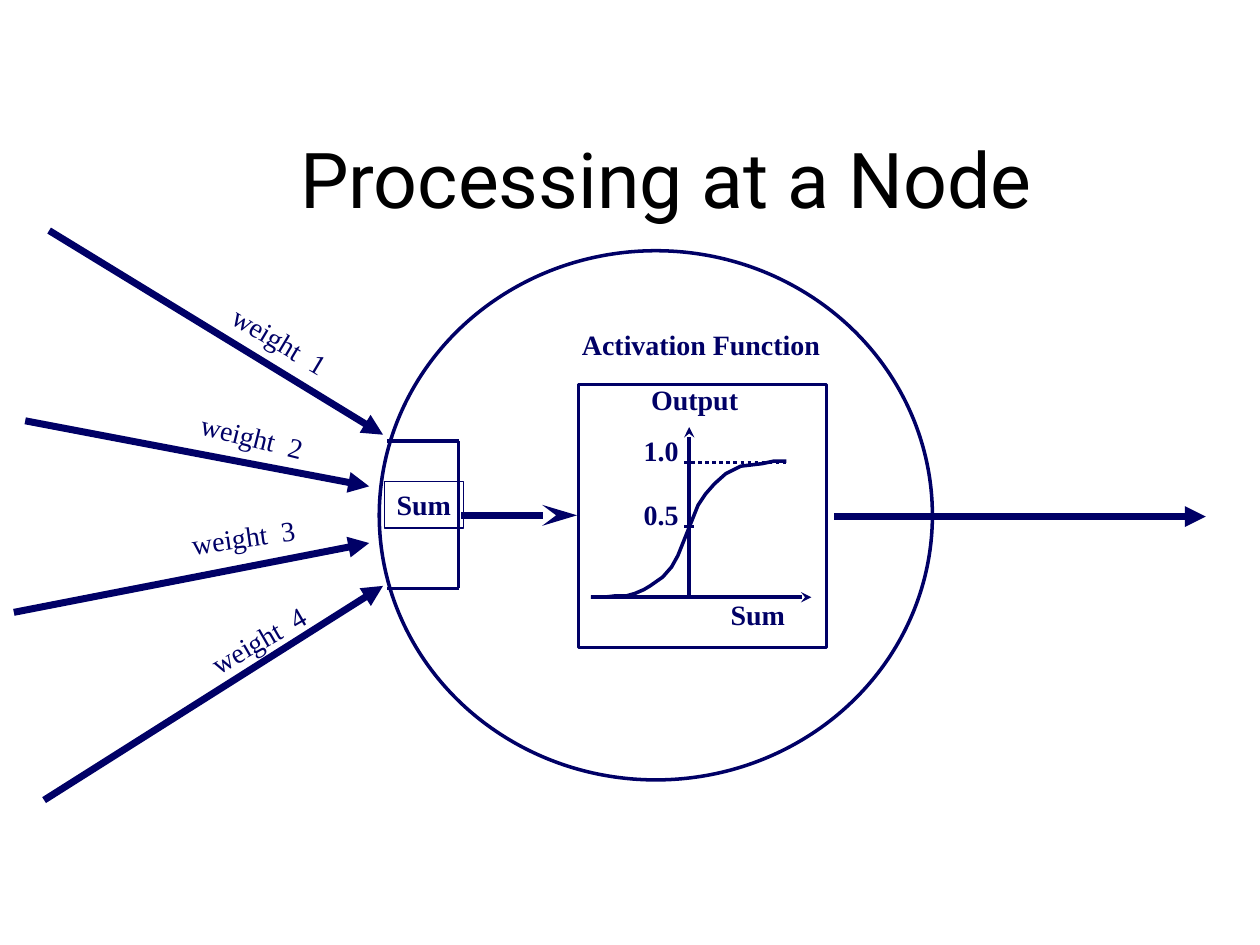
from pptx import Presentation, util as u
from pptx.dml.color import RGBColor
from pptx.enum import dml, shapes, text
from pptx.oxml.ns import qn
from lxml import etree

HUES = {"navy": "000066", "black": "000000"}
SERIF = "Times New Roman"

deck = Presentation()
deck.slide_width, deck.slide_height = u.Inches(10), u.Inches(7.5)
slide = deck.slides.add_slide(deck.slide_layouts[6])
parts = slide.shapes
navy = RGBColor.from_string(HUES["navy"])


def draw_line(x1, y1, x2, y2, width=2, tip=None, dash=None, size="med"):
    line = parts.add_connector(shapes.MSO_CONNECTOR.STRAIGHT, u.Inches(x1),
                               u.Inches(y1), u.Inches(x2), u.Inches(y2))
    line.line.color.rgb = navy
    line.line.width = u.Pt(width)
    if dash:
        line.line.dash_style = dash
    if tip:
        etree.SubElement(line.line._get_or_add_ln(), qn("a:tailEnd"),
                         type=tip, len=size)
    etree.SubElement(line._element.spPr, qn("a:effectLst"))


def add_label(words, x, y, w, bold=True, turn=0):
    box = parts.add_textbox(u.Inches(x), u.Inches(y), u.Inches(w), u.Inches(0.37))
    box.rotation = turn
    frame = box.text_frame
    frame.word_wrap = False
    frame.auto_size = text.MSO_AUTO_SIZE.SHAPE_TO_FIT_TEXT
    par = frame.paragraphs[0]
    par.text = words
    par.font.name, par.font.size, par.font.bold = SERIF, u.Pt(16), bold
    par.font.color.rgb = navy
    return box


# Title
title = parts.add_textbox(u.Inches(1.33), u.Inches(0.58), u.Inches(7.92), u.Inches(1.25))
title.text_frame.word_wrap = True
title.text_frame.vertical_anchor = text.MSO_ANCHOR.BOTTOM
head = title.text_frame.paragraphs[0]
head.text = "Processing at a Node"
head.alignment = text.PP_ALIGN.CENTER
head.font.name, head.font.size = "Roboto", u.Pt(44)
head.font.color.rgb = RGBColor.from_string(HUES["black"])

# Sigmoid curve, in hundredths of an inch
curve = [(469, 474), (479, 474), (488, 473), (497, 473), (504, 471),
         (511, 468), (516, 465), (526, 458), (533, 450), (538, 441),
         (554, 401), (560, 392), (567, 384), (576, 376), (588, 370),
         (605, 368), (614, 366), (624, 366)]
pen = parts.build_freeform(*curve[0], scale=u.Inches(0.01))
pen.add_line_segments(curve[1:], close=False)
outlines = [pen.convert_to_shape()]

# Axes, upper limit and ticks
draw_line(4.69, 4.74, 6.44, 4.74, tip="stealth")
draw_line(5.47, 4.74, 5.47, 3.39, tip="stealth")
draw_line(5.43, 3.67, 6.26, 3.67, dash=dml.MSO_LINE.ROUND_DOT)
for y in (4.18, 3.67):
    draw_line(5.43, y, 5.51, y)

# Plot labels
for words, x, y, w in [("1.0", 5.01, 3.39, 0.48), ("0.5", 5.01, 3.9, 0.48),
                       ("Output", 5.07, 2.99, 0.89), ("Sum", 5.7, 4.69, 0.63),
                       ("Activation Function", 4.52, 2.55, 2.09)]:
    add_label(words, x, y, w)

# Plot frame and node circle
for kind, x, y, w, h in [(shapes.MSO_SHAPE.RECTANGLE, 4.59, 3.05, 1.97, 2.09),
                         (shapes.MSO_SHAPE.OVAL, 3.01, 1.99, 4.39, 4.2)]:
    outlines.append(parts.add_shape(kind, u.Inches(x), u.Inches(y),
                                    u.Inches(w), u.Inches(h)))
for shape in outlines:
    shape.shadow.inherit = False
    shape.fill.background()
    shape.line.color.rgb = navy
    shape.line.width = u.Pt(2)

# Sum box with its bracket
total = add_label("Sum", 3.05, 3.82, 0.63)
total.line.color.rgb = navy
total.line.width = u.Pt(0.75)
corners = [(3.07, 3.5), (3.64, 3.5), (3.64, 4.67), (3.07, 4.67)]
for start, end in zip(corners, corners[1:]):
    draw_line(*start, *end)

# Weighted inputs: label place and turn, then arrow
inputs = [(1.71, 2.52, 31, (0.39, 1.83, 3.04, 3.45)),
          (1.49, 3.28, 14, (0.2, 3.34, 2.93, 3.86)),
          (1.42, 4.08, -8, (0.11, 4.86, 2.93, 4.31)),
          (1.54, 4.89, -30, (0.35, 6.35, 3.04, 4.65))]
for num, (x, y, turn, ends) in enumerate(inputs, 1):
    add_label(f"weight  {num}", x, y, 1.03, bold=False, turn=turn)
    draw_line(*ends, width=4, tip="triangle")

# Sum to activation, then output
draw_line(3.66, 4.09, 4.58, 4.09, width=4, tip="stealth", size="lg")
draw_line(6.62, 4.1, 9.57, 4.1, width=4, tip="triangle")

deck.save("out.pptx")
